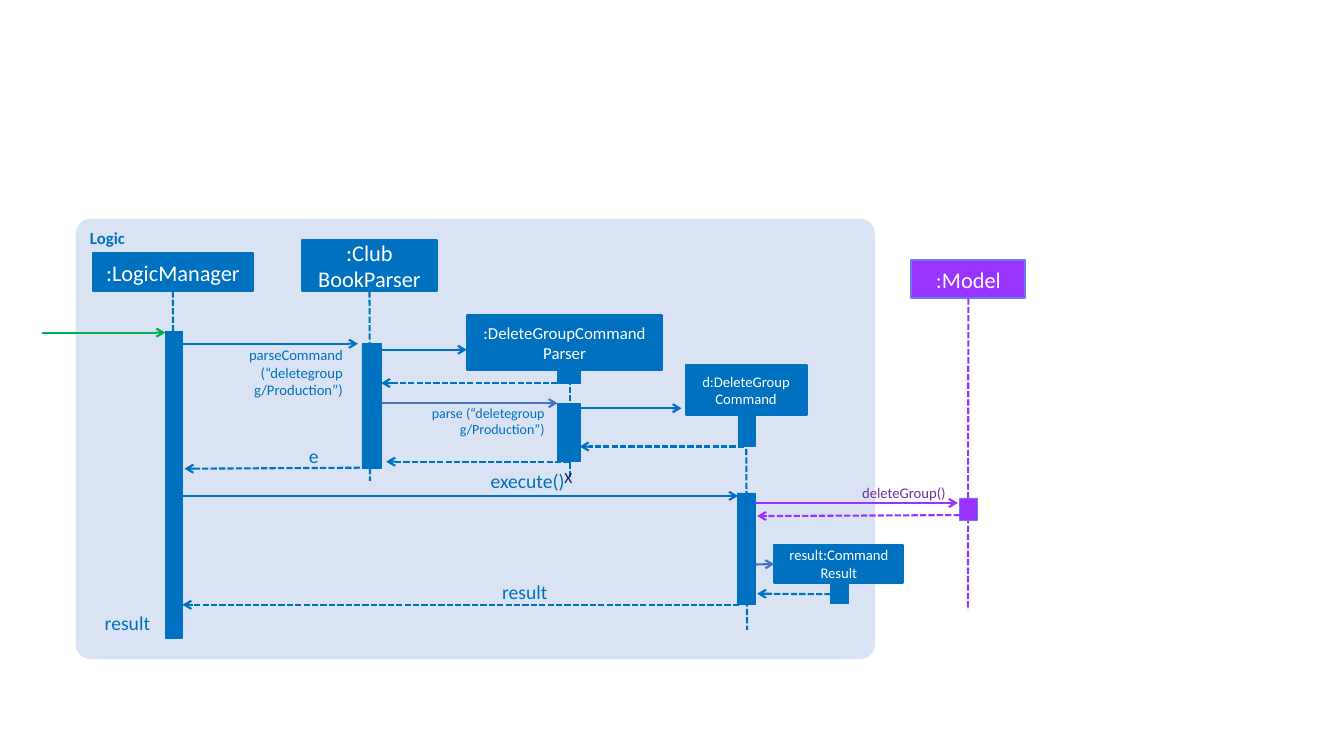
"""Build a sequence diagram of the logic component deleting a group."""
from lxml.etree import SubElement
from pptx import Presentation
from pptx.dml.color import RGBColor
from pptx.enum.dml import MSO_LINE
from pptx.enum.shapes import MSO_CONNECTOR, MSO_SHAPE
from pptx.enum.text import MSO_ANCHOR, MSO_AUTO_SIZE, PP_ALIGN
from pptx.oxml.ns import qn
from pptx.util import Inches, Pt

BLUE = RGBColor(0x00, 0x70, 0xC0)
PALE_BLUE = RGBColor(0xDA, 0xE3, 0xF3)
ACCENT_BLUE = RGBColor(0x44, 0x72, 0xC4)
NAVY = RGBColor(0x00, 0x20, 0x60)
GREEN = RGBColor(0x00, 0xB0, 0x50)
VIOLET = RGBColor(0x99, 0x33, 0xFF)
VIOLET_EDGE = RGBColor(0x6F, 0x75, 0xF7)
PURPLE = RGBColor(0x70, 0x30, 0xA0)
WHITE = RGBColor(0xFF, 0xFF, 0xFF)
FONT = "Calibri"
BOTTOM_SIDE, LEFT_SIDE = 2, 1


def write(frame, lines, size, color, align, bold=False):
    """Write each line as a paragraph of the text frame."""
    for index, line in enumerate(lines):
        para = frame.paragraphs[0] if index == 0 else frame.add_paragraph()
        para.alignment = align
        span = para.add_run()
        span.text = line
        span.font.name = FONT
        span.font.size = Pt(size)
        span.font.bold = bold
        span.font.color.rgb = color


def add_block(page, bounds, fill, edge=None, width=0.5, kind=MSO_SHAPE.RECTANGLE):
    """Add a flat filled shape, with an outline if an edge colour is given."""
    block = page.shapes.add_shape(kind, *map(Inches, bounds))
    block.shadow.inherit = False
    block.fill.solid()
    block.fill.fore_color.rgb = fill
    if edge is None:
        block.line.fill.background()
    else:
        block.line.color.rgb = edge
        block.line.width = Pt(width)
    return block


def add_panel(page, bounds, title):
    """Add the rounded background of a component with its title."""
    panel = add_block(page, bounds, PALE_BLUE, kind=MSO_SHAPE.ROUNDED_RECTANGLE)
    panel.adjustments[0] = 0.035
    panel.text_frame.vertical_anchor = MSO_ANCHOR.TOP
    write(panel.text_frame, [title], 12, BLUE, PP_ALIGN.LEFT, bold=True)


def add_participant(page, bounds, lines, size, fill=BLUE, edge=BLUE):
    """Add the header box of a participant."""
    header = add_block(page, bounds, fill, edge, 1.5)
    header.text_frame.word_wrap = True
    header.text_frame.vertical_anchor = MSO_ANCHOR.MIDDLE
    write(header.text_frame, lines, size, WHITE, PP_ALIGN.CENTER)
    return header


def add_line(page, start, end, color, dashed=False, arrow=False):
    """Add a straight line, optionally dashed or ending in an arrowhead."""
    line = page.shapes.add_connector(
        MSO_CONNECTOR.STRAIGHT, *map(Inches, (*start, *end)))
    line.line.color.rgb = color
    line.line.width = Pt(1.5)
    if dashed:
        line.line.dash_style = MSO_LINE.SQUARE_DOT
    properties = line.element.spPr
    if arrow:
        SubElement(properties.find(qn("a:ln")), qn("a:tailEnd"), type="arrow")
    SubElement(properties, qn("a:effectLst"))
    return line


def add_lifeline(page, x, top, bottom, color=BLUE, header=None):
    """Add a vertical dashed lifeline, joined to its header if given."""
    line = add_line(page, (x, top), (x, bottom), color, dashed=True)
    if header is not None:
        line.begin_connect(header, BOTTOM_SIDE)


def add_call(page, start, end, color=BLUE):
    """Add a solid call arrow."""
    return add_line(page, start, end, color, arrow=True)


def add_return(page, start, end, color=BLUE):
    """Add a dashed return arrow."""
    return add_line(page, start, end, color, dashed=True, arrow=True)


def add_label(page, bounds, lines, size, color=BLUE):
    """Add a right-aligned message label without margins."""
    box = page.shapes.add_textbox(*map(Inches, bounds))
    frame = box.text_frame
    frame.word_wrap = True
    frame.auto_size = MSO_AUTO_SIZE.SHAPE_TO_FIT_TEXT
    frame.margin_left = frame.margin_right = 0
    frame.margin_top = frame.margin_bottom = 0
    write(frame, lines, size, color, PP_ALIGN.RIGHT)


def add_end_mark(page, bounds):
    """Add the cross that ends a lifeline."""
    box = page.shapes.add_textbox(*map(Inches, bounds))
    box.text_frame.word_wrap = False
    box.text_frame.auto_size = MSO_AUTO_SIZE.SHAPE_TO_FIT_TEXT
    write(box.text_frame, ["X"], 11, NAVY, PP_ALIGN.LEFT)


def main():
    """Build the slide and save it."""
    deck = Presentation()
    deck.slide_width, deck.slide_height = Inches(13.33), Inches(7.5)
    page = deck.slides.add_slide(deck.slide_layouts[6])

    add_panel(page, (0.75, 2.17, 7.93, 4.37), "Logic")
    manager = add_participant(page, (0.92, 2.51, 1.59, 0.38), [":LogicManager"], 16)
    book_parser = add_participant(
        page, (3, 2.38, 1.33, 0.51), [":Club", "BookParser"], 16)
    add_participant(
        page, (4.63, 3.13, 1.94, 0.54), [":DeleteGroupCommand", "Parser"], 12)
    command = add_participant(
        page, (6.8, 3.62, 1.2, 0.5), ["d:DeleteGroup", "Command"], 10.5)
    result = add_participant(
        page, (7.68, 5.41, 1.28, 0.37), ["result:Command Result"], 10.5)
    model = add_participant(
        page, (9.04, 2.58, 1.13, 0.38), [":Model"], 16, VIOLET, VIOLET_EDGE)

    add_lifeline(page, 1.72, 2.89, 5.75, header=manager)
    add_lifeline(page, 3.67, 2.89, 4.77, header=book_parser)
    add_lifeline(page, 5.65, 3.67, 4.75)
    add_lifeline(page, 7.41, 4.12, 6.25, header=command)
    add_lifeline(page, 9.6, 2.96, 6.05, VIOLET, model)

    for bounds in (
        (1.64, 3.29, 0.17, 3.04),
        (3.59, 3.41, 0.19, 1.24),
        (5.53, 3.67, 0.23, 0.13),
        (5.53, 4, 0.23, 0.58),
        (7.32, 4.13, 0.17, 0.3),
        (7.31, 4.89, 0.18, 1.11),
    ):
        add_block(page, bounds, BLUE, BLUE)
    result_bar = add_block(page, (8.24, 5.8, 0.17, 0.19), BLUE, BLUE)
    add_block(page, (9.52, 4.94, 0.17, 0.22), VIOLET, VIOLET_EDGE)

    add_call(page, (0.42, 3.3), (1.64, 3.3), GREEN)
    add_call(page, (1.81, 3.41), (3.55, 3.41))
    add_call(page, (3.73, 3.47), (4.63, 3.47))
    add_return(page, (5.53, 3.8), (3.78, 3.8))
    add_call(page, (3.79, 4), (5.53, 4), ACCENT_BLUE)
    add_call(page, (5.75, 4.05), (6.76, 4.05))
    add_return(page, (7.38, 4.43), (5.75, 4.43))
    add_return(page, (5.65, 4.58), (3.83, 4.58))
    add_return(page, (3.57, 4.64), (1.83, 4.65))
    add_call(page, (1.81, 4.92), (7.32, 4.92))
    add_call(page, (7.49, 4.99), (9.5, 4.99), VIOLET)
    add_return(page, (9.52, 5.11), (7.51, 5.12), VIOLET)
    create_result = add_call(page, (7.5, 5.6), (7.68, 5.6), ACCENT_BLUE)
    create_result.end_connect(result, LEFT_SIDE)
    result_return = add_return(page, (8.24, 5.89), (7.51, 5.89))
    result_return.begin_connect(result_bar, LEFT_SIDE)
    add_return(page, (7.33, 6), (1.81, 6))

    add_label(page, (1.84, 3.43, 1.56, 0.53),
              ["parseCommand", "(“deletegroup g/Production”)"], 10.5)
    add_label(page, (3.84, 4.01, 1.56, 0.34),
              ["parse (“deletegroup g/Production”)"], 10)
    add_label(page, (2.92, 4.4, 0.24, 0.24), ["e"], 14)
    add_label(page, (4.66, 4.65, 0.94, 0.24), ["execute()"], 14)
    add_label(page, (7.82, 4.8, 1.56, 0.18), ["deleteGroup()"], 10.5, PURPLE)
    add_label(page, (4.75, 5.75, 0.68, 0.24), ["result"], 14)
    add_label(page, (0.66, 6.06, 0.83, 0.24), ["result"], 14)
    add_end_mark(page, (5.5, 4.59, 0.28, 0.29))

    deck.save("out.pptx")


if __name__ == "__main__":
    main()
